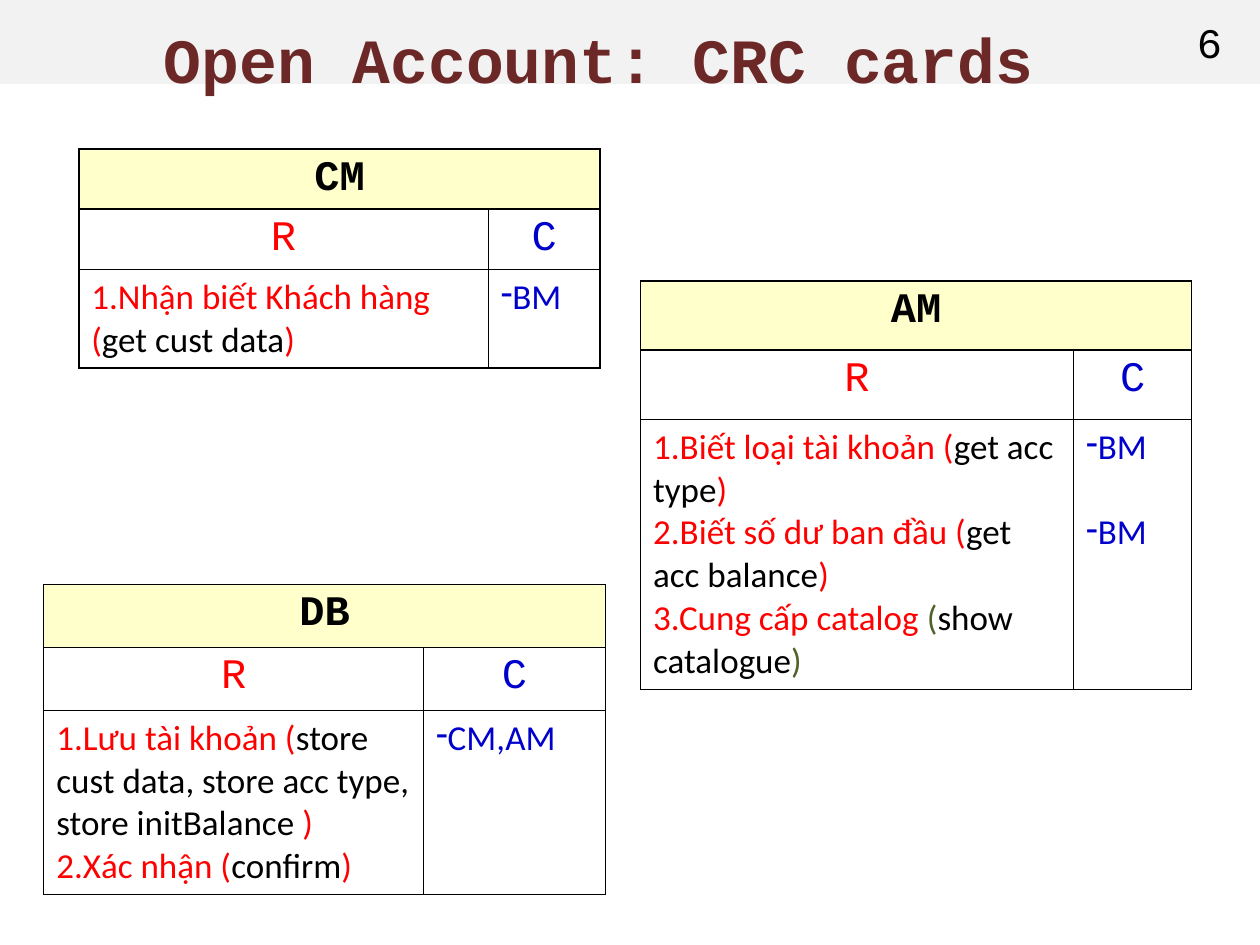
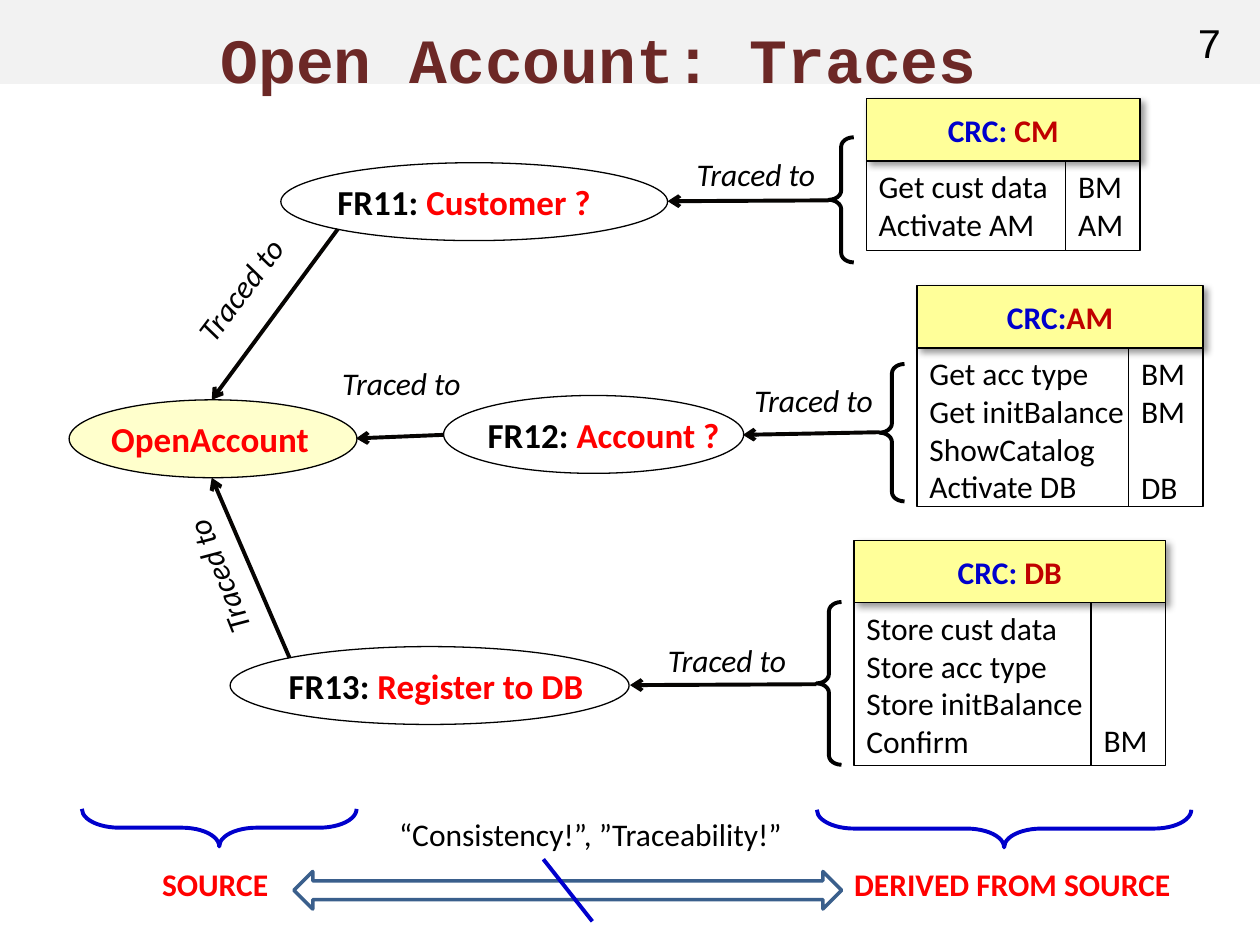
from lxml import etree
from pptx import Presentation
from pptx.dml.color import RGBColor
from pptx.enum.shapes import MSO_CONNECTOR, MSO_SHAPE as SHAPE
from pptx.enum.text import MSO_ANCHOR as ANCHOR, PP_ALIGN as ALIGN
from pptx.oxml.ns import qn
from pptx.util import Pt

rgb = RGBColor.from_string

BLACK, WHITE, RED, BLUE = "000000", "FFFFFF", "FF0000", "0000CC"
BAND, TITLE, CREAM, YELLOW = "F2F2F2", "6C2826", "FFFFCC", "FFFF99"
GREEN, DARK_RED, INK, STEEL = "4F6228", "C00000", "060402", "3A5F8C"
MONO, SANS = "Courier New", "Calibri"
BAND_H = 48


def add(s, kind, x, y, w, h, fill=None, line=None, width=0.75):
    """Add a preset shape with no shadow, and with no fill or line unless given."""
    sp = s.shapes.add_shape(kind, Pt(x), Pt(y), Pt(w), Pt(h))
    sp.shadow.inherit = False
    if fill:
        sp.fill.solid()
        sp.fill.fore_color.rgb = rgb(fill)
    else:
        sp.fill.background()
    if line:
        sp.line.color.rgb = rgb(line)
        sp.line.width = Pt(width)
    else:
        sp.line.fill.background()
    return sp


def write(tf, paragraphs, size, font=SANS, bold=False, italic=False, align=ALIGN.LEFT):
    """Fill a text frame; each paragraph is a list of (text, colour) runs."""
    for i, runs in enumerate(paragraphs):
        p = tf.paragraphs[0] if i == 0 else tf.add_paragraph()
        p.alignment = align
        for text, color in runs:
            r = p.add_run()
            r.text = text
            r.font.name = font
            r.font.size = Pt(size)
            r.font.bold = bold
            r.font.italic = italic
            r.font.color.rgb = rgb(color)


prs = Presentation()
prs.slide_width, prs.slide_height = Pt(720), Pt(540)

# Title band and page number
slides = []
for title, number in [("Open Account: CRC cards", "6"), ("Open Account: Traces", "7")]:
    s = prs.slides.add_slide(prs.slide_layouts[6])
    tf = add(s, SHAPE.RECTANGLE, 0, 0, 684, BAND_H, BAND).text_frame
    tf.vertical_anchor = ANCHOR.TOP
    tf.margin_top, tf.margin_bottom = Pt(11.5), 0
    write(tf, [[(title, TITLE)]], 36, MONO, bold=True, align=ALIGN.CENTER)
    tf = add(s, SHAPE.RECTANGLE, 684, 0, 36, BAND_H, BAND).text_frame
    tf.margin_left = tf.margin_right = 0
    tf.vertical_anchor = ANCHOR.MIDDLE
    write(tf, [[(number, BLACK)]], 24, MONO)
    slides.append(s)
cards_slide, traces_slide = slides

# CRC cards: name, left, top, column widths, head row height, body height,
# responsibilities, collaborators with the space before each
crc_cards = [
    ("CM", 45, 85, (234, 64), 34.5, 56,
     [[("1.Nhận biết Khách hàng (", RED), ("get cust data", BLACK), (")", RED)]],
     [("BM", 0)]),
    ("AM", 366, 160.5, (247.5, 67.5), 39.6, 154,
     [[("1.Biết loại tài khoản (", RED), ("get acc type", BLACK), (")", RED)],
      [("2.Biết số dư ban đầu (", RED), ("get acc balance", BLACK), (")", RED)],
      [("3.Cung cấp catalog ", RED), ("(", GREEN), ("show catalogue", BLACK), (")", GREEN)]],
     [("BM", 0), ("BM", 24.4)]),
    ("DB", 25, 334, (217, 104), 36, 105,
     [[("1.Lưu tài khoản (", RED),
       ("store cust data, store acc type, store initBalance", BLACK), (" )", RED)],
      [("2.Xác nhận (", RED), ("confirm", BLACK), (")", RED)]],
     [("CM,AM", 0)]),
]
for name, x, y, widths, head_h, body_h, duties, partners in crc_cards:
    frame = cards_slide.shapes.add_table(3, 2, Pt(x), Pt(y), Pt(sum(widths)),
                                         Pt(2 * head_h + body_h))
    table = frame.table
    table.first_row = table.horz_banding = False
    for column, w in zip(table.columns, widths):
        column.width = Pt(w)
    for row, h in zip(table.rows, (head_h, head_h, body_h)):
        row.height = Pt(h)
    for cell in table.iter_cells():
        cell.fill.background()
    head = table.cell(0, 0)
    head.merge(table.cell(0, 1))
    head.fill.solid()
    head.fill.fore_color.rgb = rgb(CREAM)
    write(head.text_frame, [[(name, BLACK)]], 24, MONO, bold=True, align=ALIGN.CENTER)
    for col, (letter, color) in enumerate([("R", RED), ("C", BLUE)]):
        write(table.cell(1, col).text_frame, [[(letter, color)]], 24, MONO, align=ALIGN.CENTER)
    write(table.cell(2, 0).text_frame, duties, 20)
    tf = table.cell(2, 1).text_frame
    write(tf, [[(partner, BLUE)] for partner, _ in partners], 20)
    for p, (_, gap) in zip(tf.paragraphs, partners):
        p.space_before = Pt(gap)
        pPr = p._p.get_or_add_pPr()
        pPr.set("marL", "0")
        pPr.set("indent", "0")
        etree.SubElement(pPr, qn("a:buChar"), char="-")
    for tc in frame.element.iter(qn("a:tc")):
        tcPr = tc.get_or_add_tcPr()
        for i, side in enumerate("LRTB"):
            ln = etree.Element(qn("a:ln" + side), w=str(Pt(1)))
            solid = etree.SubElement(ln, qn("a:solidFill"))
            etree.SubElement(solid, qn("a:srgbClr"), val=BLACK)
            tcPr.insert(i, ln)

# Requirements
s = traces_slide
requirements = [
    (160.5, 93, 221, WHITE, [("FR11: ", BLACK), ("Customer ?", RED)]),
    (253.5, 226, 171.5, WHITE, [("FR12: ", BLACK), ("Account ?", RED)]),
    (131.5, 369.5, 228, WHITE, [("FR13:", BLACK), (" Register to DB", RED)]),
    (39.5, 228.5, 164.5, CREAM, [("OpenAccount", RED)]),
]
for x, y, w, fill, runs in requirements:
    tf = add(s, SHAPE.OVAL, x, y, w, 44.5, fill, BLACK).text_frame
    tf.margin_left = tf.margin_right = 0
    tf.vertical_anchor = ANCHOR.TOP
    tf.word_wrap = False
    write(tf, [runs], 20, bold=True)

# Class cards with their braces: label, name, left, top, operations width, body height,
# brace top and height, operations, collaborators, anchor and last gap of collaborators
HEAD_H, PARTNER_W = 35.5, 42.5
class_cards = [
    ("CRC: ", "CM", 495, 56.5, 114, 51, 78.5, 71.5,
     ["Get cust data", "Activate AM"], ["BM", "AM"], ANCHOR.TOP, 0),
    ("CRC:", "AM", 524, 163.3, 121, 90.5, 208, 78.5,
     ["Get acc type", "Get initBalance", "ShowCatalog", "Activate DB"],
     ["BM", "BM", "DB"], ANCHOR.TOP, 22),
    ("CRC: ", "DB", 488, 308.8, 135.5, 93, 344, 93,
     ["Store cust data", "Store acc type", "Store initBalance", "Confirm"],
     ["BM"], ANCHOR.BOTTOM, 0),
]
for (label, name, x, y, ops_w, body_h, brace_y, brace_h,
     operations, partners, anchor, gap) in class_cards:
    sp = add(s, SHAPE.RECTANGLE, x, y, ops_w + PARTNER_W, HEAD_H, YELLOW, BLACK)
    shadow = etree.SubElement(sp.element.spPr.find(qn("a:effectLst")), qn("a:outerShdw"),
                              blurRad=str(Pt(4)), dist=str(Pt(3)), dir="2700000")
    color = etree.SubElement(shadow, qn("a:srgbClr"), val=BLACK)
    etree.SubElement(color, qn("a:alpha"), val="40000")
    tf = sp.text_frame
    tf.vertical_anchor = ANCHOR.MIDDLE
    tf.word_wrap = False
    write(tf, [[(label, BLUE), (name, DARK_RED)]], 18, bold=True, align=ALIGN.CENTER)
    for left, w, lines, anchored in [(x, ops_w, operations, ANCHOR.TOP),
                                     (x + ops_w, PARTNER_W, partners, anchor)]:
        tf = add(s, SHAPE.RECTANGLE, left, y + HEAD_H, w, body_h, line=BLACK).text_frame
        tf.margin_right = 0
        tf.vertical_anchor = anchored
        tf.word_wrap = False
        write(tf, [[(line, BLACK)] for line in lines], 18)
    tf.paragraphs[-1].space_before = Pt(gap)
    brace = add(s, SHAPE.LEFT_BRACE, x - 21.5, brace_y, 14.4, brace_h, line=BLACK, width=2.25)
    brace.adjustments[0] = 0.37

# Source and derived sides
for x, y, h in [(114.5, 394.5, 157), (563, 366.5, 214)]:
    brace = add(s, SHAPE.RIGHT_BRACE, x, y, 21.5, h, line=BLUE, width=2.25)
    brace.adjustments[0] = 0.99
    brace.rotation = 90
add(s, SHAPE.LEFT_RIGHT_ARROW, 168, 498, 313, 21.5, line=STEEL, width=2)

# Trace arrows, and the stroke across the double arrow
links = [
    (193, 131, 121, 228.5, INK),
    (165.5, 376, 121, 273, INK),
    (253.5, 248.5, 203.5, 250.5, INK),
    (502.5, 247, 424.5, 248.5, INK),
    (466.5, 391, 360, 391.5, INK),
    (473.5, 114.5, 381.5, 115, INK),
    (338.5, 526.5, 310.5, 491, BLUE),
]
for x1, y1, x2, y2, color in links:
    link = s.shapes.add_connector(MSO_CONNECTOR.STRAIGHT, Pt(x1), Pt(y1), Pt(x2), Pt(y2))
    link.line.color.rgb = rgb(color)
    link.line.width = Pt(2.25)
    spPr = link.element.spPr
    if color == INK:
        etree.SubElement(spPr.find(qn("a:ln")), qn("a:tailEnd"), type="arrow")
    etree.SubElement(spPr, qn("a:effectLst"))

# Labels: text, left, top, width, rotation, colour, bold, italic
trace_spots = [(391, 85, 0), (424, 214, 0), (374.5, 363, 0),
               (96, 150.5, 307.1), (83, 314.5, 248.2), (188.5, 204.5, 0)]
labels = [("Traced to", x, y, 83, turn, BLACK, False, True) for x, y, turn in trace_spots]
labels += [
    ("SOURCE", 85.5, 491, 75.5, 0, RED, True, False),
    ("DERIVED FROM SOURCE", 481, 491, 197, 0, RED, True, False),
    ("“Consistency!”, ”Traceability!”", 221, 462, 235.5, 0, BLACK, False, False),
]
for text, x, y, w, turn, color, bold, italic in labels:
    box = s.shapes.add_textbox(Pt(x), Pt(y), Pt(w), Pt(29))
    box.rotation = turn
    box.text_frame.word_wrap = False
    write(box.text_frame, [[(text, color)]], 18, bold=bold, italic=italic)

prs.save("out.pptx")
